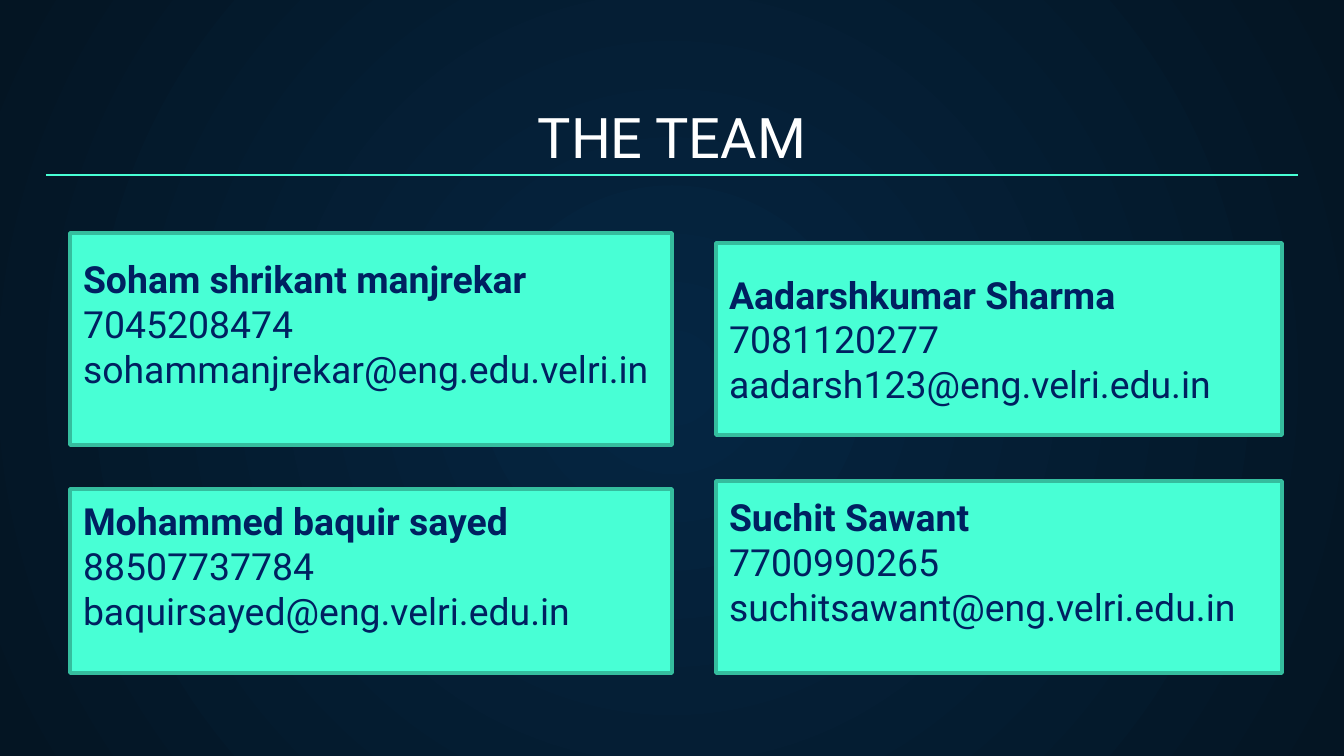
from lxml import etree
from pptx import Presentation
from pptx.dml.color import RGBColor
from pptx.enum.shapes import MSO_CONNECTOR, MSO_SHAPE
from pptx.enum.text import MSO_ANCHOR, MSO_AUTO_SIZE, PP_ALIGN
from pptx.oxml.ns import qn
from pptx.util import Emu, Pt

LEFT, CENTER = PP_ALIGN.LEFT, PP_ALIGN.CENTER
MIDDLE, BOTTOM = MSO_ANCHOR.MIDDLE, MSO_ANCHOR.BOTTOM
RECT, STRAIGHT = MSO_SHAPE.RECTANGLE, MSO_CONNECTOR.STRAIGHT
NO_AUTOFIT = MSO_AUTO_SIZE.NONE

NAVY = RGBColor(0x05, 0x26, 0x43)
NIGHT = RGBColor(0x04, 0x15, 0x23)
MINT = RGBColor(0x48, 0xFF, 0xD5)
TEAL = RGBColor(0x35, 0xBD, 0x9E)
INK = RGBColor(0x00, 0x20, 0x60)
WHITE = RGBColor(0xFF, 0xFF, 0xFF)


def px(n):
    return Emu(round(n * 914400 / 134.4))


def write(sp, lines, size, color, align=LEFT, anchor=MIDDLE,
          bold_first=False, insets=(13, 7, 13, 7)):
    tf = sp.text_frame
    tf.word_wrap = True
    tf.auto_size = NO_AUTOFIT
    tf.vertical_anchor = anchor
    (tf.margin_left, tf.margin_top,
     tf.margin_right, tf.margin_bottom) = map(px, insets)
    for i, line in enumerate(lines):
        p = tf.paragraphs[0] if i == 0 else tf.add_paragraph()
        p.alignment = align
        r = p.add_run()
        r.text = line
        r.font.name = "Roboto"
        r.font.size = Pt(size)
        r.font.bold = bold_first and i == 0
        r.font.color.rgb = color


prs = Presentation()
prs.slide_width, prs.slide_height = px(1344), px(756)
s = prs.slides.add_slide(prs.slide_layouts[5])

# Background: radial gradient from the centre
fill = s.background.fill
fill.gradient()
for stop, color in zip(fill.gradient_stops, (NAVY, NIGHT)):
    stop.color.rgb = color
grad = s.background._cSld.find(".//" + qn("a:gradFill"))
grad.remove(grad.find(qn("a:lin")))
radial = etree.SubElement(grad, qn("a:path"), path="circle")
etree.SubElement(radial, qn("a:fillToRect"),
                 l="50000", t="50000", r="50000", b="50000")

# Title
title = s.shapes.title
title.left, title.top, title.width, title.height = map(px, (46, 94, 1252, 89))
write(title, ["THE TEAM"], 30, WHITE, CENTER, BOTTOM, insets=(13, 13, 13, 13))

# Rule under the title
rule = s.shapes.add_connector(STRAIGHT, px(46), px(175), px(1298), px(175))
rule.line.color.rgb = MINT
rule.line.width = Pt(0.75)
etree.SubElement(rule._element.spPr, qn("a:effectLst"))

# Team cards: column, top, height, bottom inset, lines
COLUMNS = ((70, 602), (716, 566))
CARDS = (
    (0, 233, 212, 38, ("Soham shrikant manjrekar", "7045208474",
                       "sohammanjrekar@eng.edu.velri.in")),
    (1, 243, 192, 7, ("Aadarshkumar Sharma", "7081120277",
                      "aadarsh123@eng.velri.edu.in")),
    (1, 481, 192, 38, ("Suchit Sawant", "7700990265",
                       "suchitsawant@eng.velri.edu.in")),
    (0, 489, 184, 38, ("Mohammed baquir sayed", "88507737784",
                       "baquirsayed@eng.velri.edu.in")),
)
for column, top, height, bottom, lines in CARDS:
    left, width = COLUMNS[column]
    card = s.shapes.add_shape(RECT, px(left), px(top), px(width), px(height))
    card.shadow.inherit = False
    card.fill.solid()
    card.fill.fore_color.rgb = MINT
    card.line.color.rgb = TEAL
    card.line.width = Pt(2)
    write(card, lines, 20, INK, bold_first=True, insets=(13, 7, 13, bottom))

prs.save("out.pptx")
